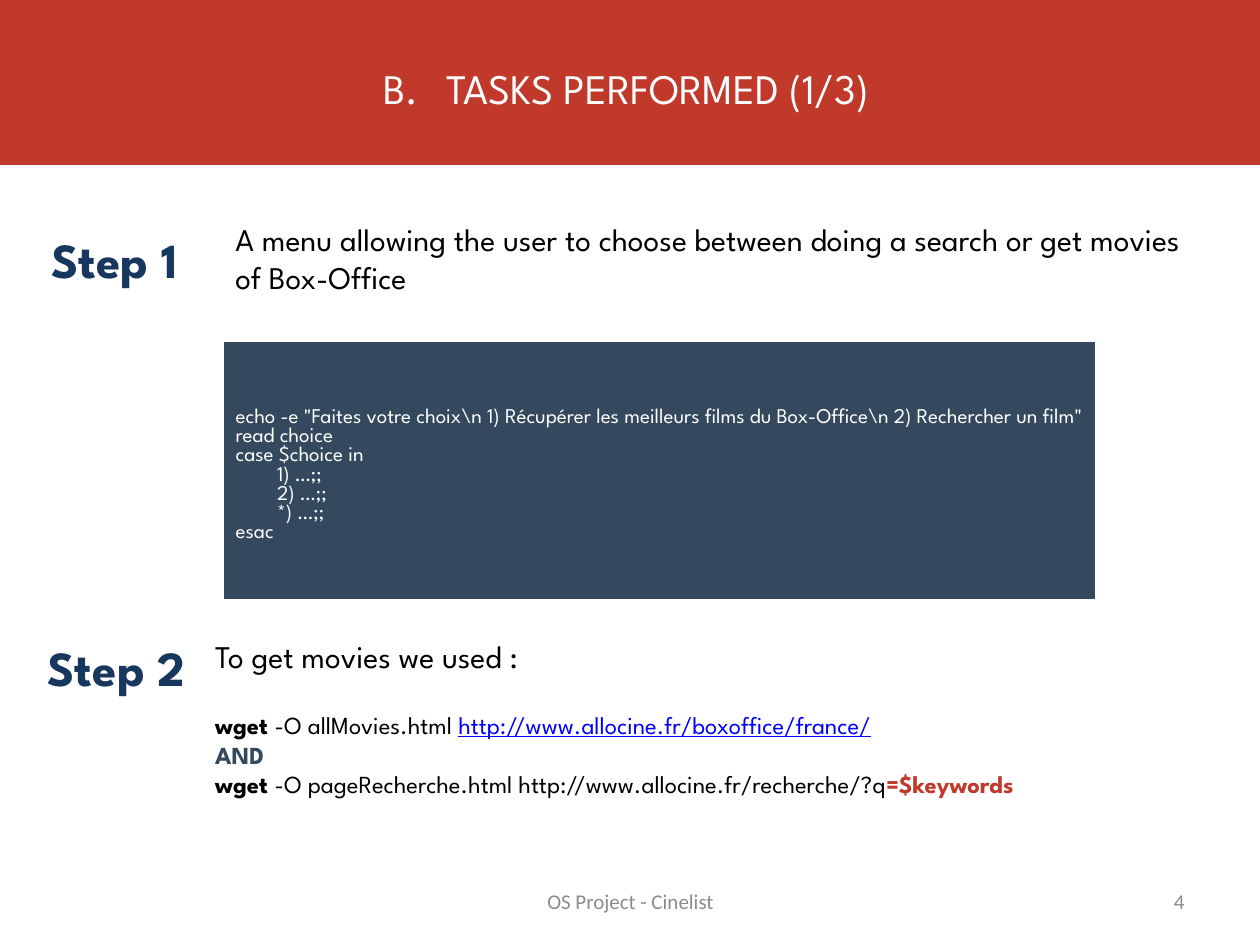
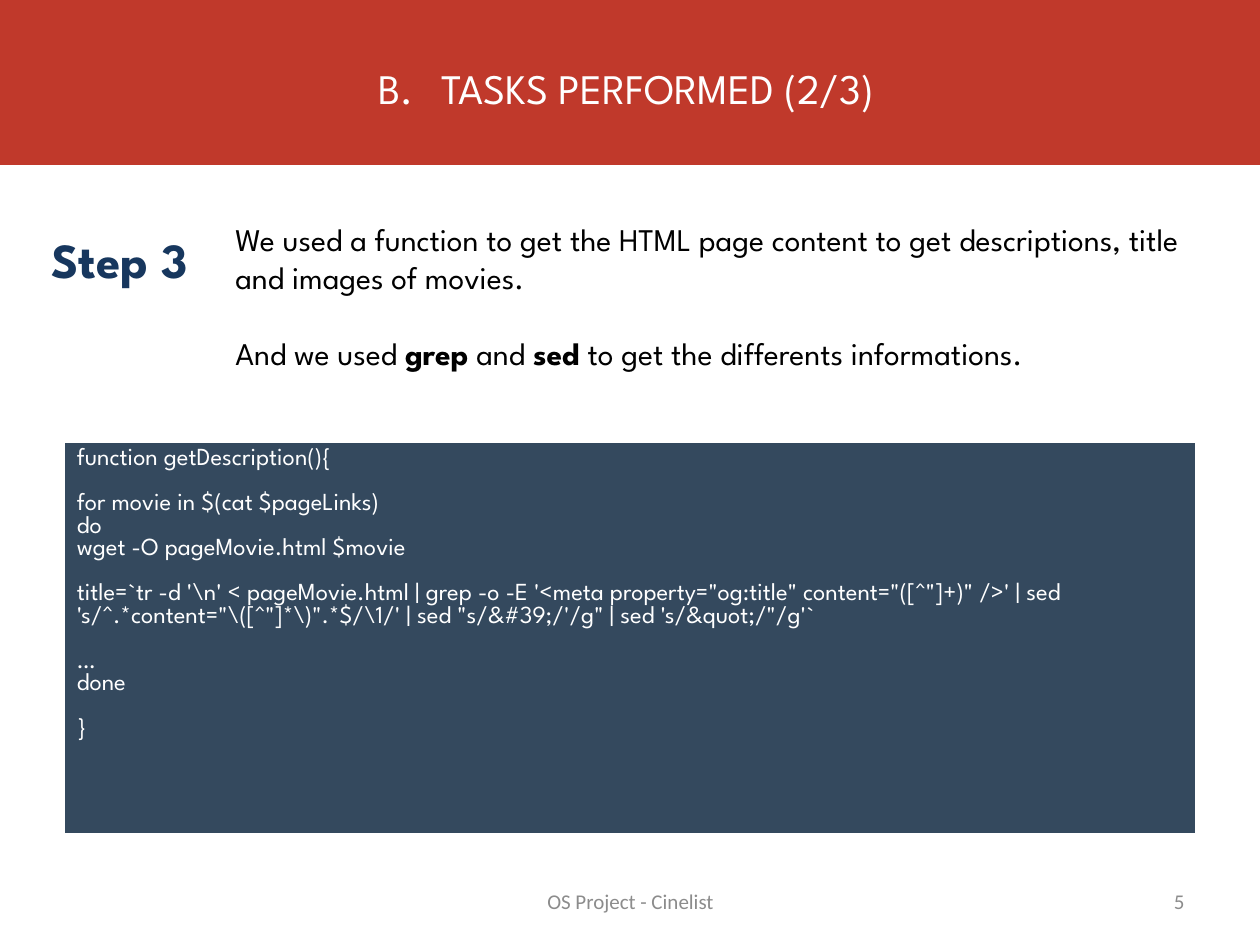
from dataclasses import dataclass

from lxml import etree
from pptx import Presentation
from pptx.dml.color import RGBColor
from pptx.enum.shapes import MSO_SHAPE
from pptx.enum.text import MSO_ANCHOR, PP_ALIGN
from pptx.oxml.ns import qn
from pptx.util import Inches, Pt

RECTANGLE = MSO_SHAPE.RECTANGLE
TOP, MIDDLE = MSO_ANCHOR.TOP, MSO_ANCHOR.MIDDLE
LEFT, CENTER, RIGHT = PP_ALIGN.LEFT, PP_ALIGN.CENTER, PP_ALIGN.RIGHT


@dataclass(frozen=True)
class Theme:
    red: str = "C0392B"
    slate: str = "34495E"
    navy: str = "17375E"
    link: str = "0000FF"
    grey: str = "8C8C8C"
    white: str = "FFFFFF"
    black: str = "000000"
    main_font: str = "League Spartan"
    footer_font: str = "Calibri"
    title_size: int = 24
    step_size: int = 28
    body_size: int = 18
    command_size: int = 14
    small_size: int = 12
    body_leading: float = 1.2
    code_leading: float = 0.92


THEME = Theme()

# The slide is a grid of 100 columns and 75 rows
WIDTH, HEIGHT = Inches(10), Inches(7.5)
COLUMN, ROW = WIDTH / 100, HEIGHT / 75


def area(left, top, columns, rows):
    """Turn grid columns and rows into a position and a size."""
    return (round(left * COLUMN), round(top * ROW),
            round(columns * COLUMN), round(rows * ROW))


# Text
def add_runs(paragraph, parts, **base):
    """Write parts, each a string or a (string, format) pair."""
    for part in parts:
        words, changes = (part, {}) if isinstance(part, str) else part
        look = {"name": THEME.main_font, "bold": False, "color": THEME.black,
                **base, **changes}
        run = paragraph.add_run()
        run.text = words
        run.font.color.rgb = RGBColor.from_string(look.pop("color"))
        look["size"] = Pt(look["size"])
        for attribute, value in look.items():
            setattr(run.font, attribute, value)


def write_lines(frame, lines, size, leading, gaps=None, align=LEFT, **base):
    """Write one paragraph a line; gaps maps a line number to points before it."""
    for number, parts in enumerate(lines):
        paragraph = frame.paragraphs[0] if number == 0 else frame.add_paragraph()
        paragraph.alignment = align
        paragraph.line_spacing = Pt(round(size * leading, 2))
        paragraph.space_before = Pt((gaps or {}).get(number, 0))
        add_runs(paragraph, parts, size=size, **base)


def add_text(slide, place, anchor=TOP):
    frame = slide.shapes.add_textbox(*area(*place)).text_frame
    frame.word_wrap = True
    frame.vertical_anchor = anchor
    return frame


def add_body(slide, place, lines, gaps=None):
    frame = add_text(slide, place)
    write_lines(frame, lines, THEME.body_size, THEME.body_leading, gaps)
    return frame


def add_step(slide, label, left, top):
    write_lines(add_text(slide, (left, top, 15, 5.7)), [[label]], THEME.step_size,
                THEME.body_leading, color=THEME.navy, bold=True)


# Band, numbered title and footer shared by the slides
def add_title(slide, title):
    band = slide.shapes.add_shape(RECTANGLE, *area(0, 0, 100, 13.1))
    band.shadow.inherit = False
    band.fill.solid()
    band.fill.fore_color.rgb = RGBColor.from_string(THEME.red)
    band.line.fill.background()

    frame = add_text(slide, (-0.3, 4.5, 100, 5))
    properties = frame.paragraphs[0]._p.get_or_add_pPr()
    properties.set("marL", str(Inches(0.5)))
    properties.set("indent", str(-Inches(0.5)))
    etree.SubElement(properties, qn("a:buFont"), typeface="+mj-lt")
    etree.SubElement(properties, qn("a:buAutoNum"),
                     type="alphaUcPeriod", startAt="2")
    write_lines(frame, [[title]], THEME.title_size, THEME.body_leading,
                align=CENTER, color=THEME.white)


def add_footer(slide, number):
    for words, left, columns, align in (("OS Project - Cinelist", 34.2, 31.7, CENTER),
                                        (str(number), 71.7, 23.3, RIGHT)):
        write_lines(add_text(slide, (left, 69.5, columns, 4), MIDDLE), [[words]],
                    THEME.small_size, THEME.body_leading, align=align,
                    name=THEME.footer_font, color=THEME.grey)


def start_slide(deck, title, number):
    slide = deck.slides.add_slide(deck.slide_layouts[6])
    add_title(slide, title)
    add_footer(slide, number)
    return slide


# Code panel: a table of one cell
def add_cell_borders(cell):
    properties = cell._tc.get_or_add_tcPr()
    for index, (side, points) in enumerate((("L", 1), ("R", 1), ("T", 1), ("B", 3))):
        border = etree.Element(qn(f"a:ln{side}"), w=str(Pt(points)))
        fill = etree.SubElement(border, qn("a:solidFill"))
        etree.SubElement(fill, qn("a:srgbClr"), val=THEME.white)
        properties.insert(index, border)


def add_code(slide, place, code, size, anchor=TOP, gaps=None):
    table = slide.shapes.add_table(1, 1, *area(*place)).table
    table.first_row = table.horz_banding = False
    cell = table.cell(0, 0)
    cell.fill.solid()
    cell.fill.fore_color.rgb = RGBColor.from_string(THEME.slate)
    cell.vertical_anchor = anchor
    add_cell_borders(cell)
    write_lines(cell.text_frame, [[line] for line in code], size,
                THEME.code_leading, gaps, color=THEME.white)
    return cell.text_frame


MENU_CODE = [
    r'echo -e "Faites votre choix\n 1) Récupérer les meilleurs films du Box-Office\n 2) Rechercher un film"',
    "read choice",
    "case $choice in",
    "        1) …;;",
    "        2) …;;",
    "        *) …;;",
    "esac",
]

DESCRIPTION_CODE = [
    "function getDescription(){",
    "for movie in $(cat $pageLinks)",
    "do",
    "wget -O pageMovie.html $movie",
    r"""title=`tr -d '\n' < pageMovie.html | grep -o -E '<meta property="og:title" content="([^"]+)" />' | sed 's/^.*content="\([^"]*\)".*$/\1/' | sed "s/&#39;/'/g" | sed 's/&quot;/"/g'`""",
    "…",
    "done",
    "}",
]


def build_menu_slide(deck):
    slide = start_slide(deck, "TASKS PERFORMED (1/3)", 4)
    add_step(slide, "Step 1", 3.1, 17.7)
    add_body(slide, (17.7, 17, 78, 7.1),
             [["A menu allowing the user to choose between doing a search "
               "or get movies of Box-Office"]])
    code = add_code(slide, (17.7, 27.1, 69.3, 20.6), MENU_CODE,
                    THEME.small_size, MIDDLE)
    code.paragraphs[0].line_spacing = Pt(1.5 * THEME.small_size * THEME.code_leading)

    add_step(slide, "Step 2", 2.8, 50.1)
    command = {"size": THEME.command_size}
    strong = {**command, "bold": True}
    downloads = add_body(slide, (16.1, 50.1, 81.1, 13.8), [
        ["To get movies we used :"],
        [("wget ", strong), ("-O allMovies.html ", command),
         ("http://www.allocine.fr/boxoffice/france/",
          {**command, "color": THEME.link, "underline": True})],
        [("AND", {**strong, "color": THEME.slate})],
        [("wget ", strong),
         ("-O pageRecherche.html http://www.allocine.fr/recherche/?q", command),
         ("=$keywords", {**strong, "color": THEME.red})],
    ], gaps={1: 20})
    for paragraph in downloads.paragraphs[1:]:
        paragraph.line_spacing = Pt(THEME.command_size * THEME.body_leading)


def build_description_slide(deck):
    slide = start_slide(deck, "TASKS PERFORMED (2/3)", 5)
    add_step(slide, "Step 3", 3.1, 17.7)
    strong = {"bold": True}
    add_body(slide, (17.7, 17, 78, 16.2), [
        ["We used a function to get the HTML page content to get "
         "descriptions, title and images of movies."],
        ["And we used ", ("grep", strong), " and ", ("sed", strong),
         " to get the differents informations."],
    ], gaps={1: THEME.body_size * THEME.body_leading})
    blank = THEME.command_size * THEME.code_leading
    add_code(slide, (5.1, 35.1, 89.8, 31.2), DESCRIPTION_CODE, THEME.command_size,
             gaps=dict.fromkeys((1, 4, 5, 7), blank))


def main():
    deck = Presentation()
    deck.slide_width, deck.slide_height = WIDTH, HEIGHT
    build_menu_slide(deck)
    build_description_slide(deck)
    deck.save("out.pptx")


if __name__ == "__main__":
    main()
